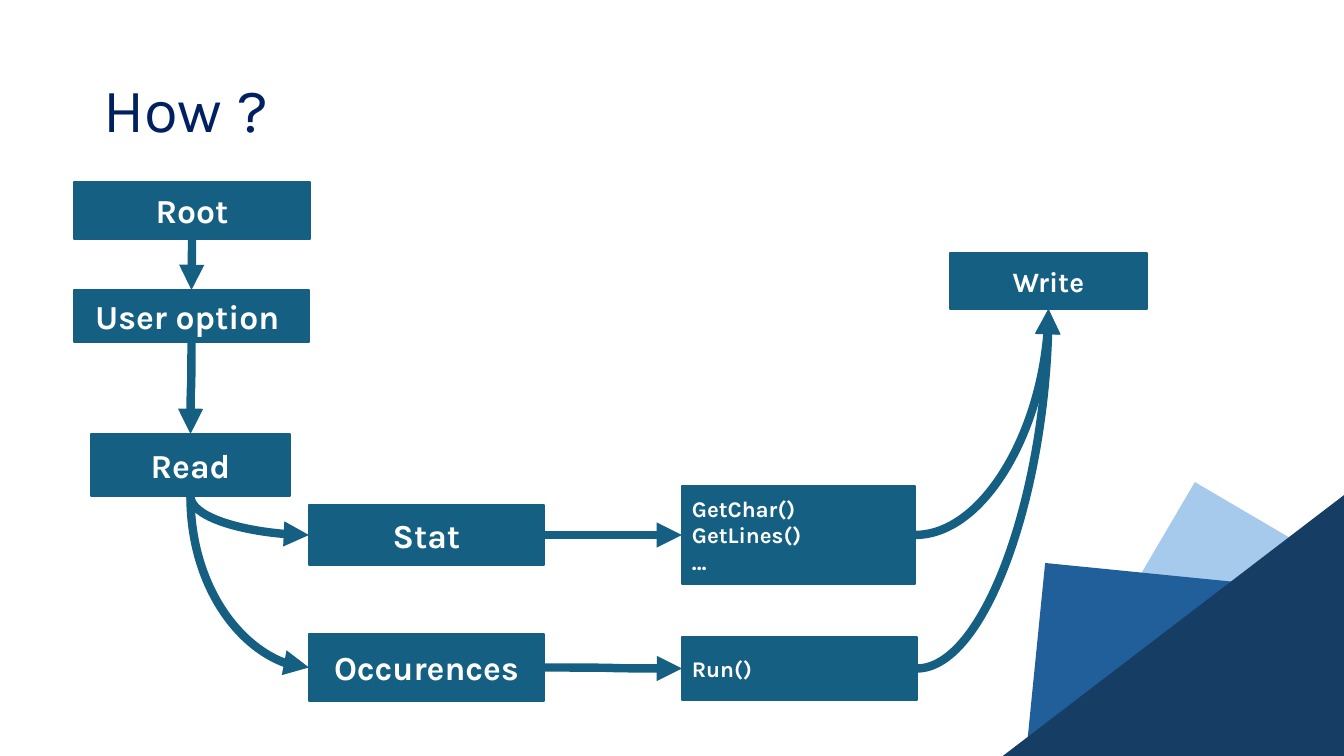
from dataclasses import dataclass

import pptx
import pptx.dml.color
import pptx.enum.shapes
import pptx.enum.text
import pptx.oxml.ns
import pptx.util
from lxml import etree
from pptx.enum.shapes import MSO_CONNECTOR, MSO_SHAPE
from pptx.enum.text import MSO_ANCHOR, MSO_AUTO_SIZE, PP_ALIGN

RGBColor = pptx.dml.color.RGBColor
NAVY = RGBColor(0x00, 0x20, 0x60)
TEAL = RGBColor(0x15, 0x60, 0x82)
WHITE = RGBColor(0xFF, 0xFF, 0xFF)
SKY = RGBColor(0xA6, 0xCA, 0xEC)
BLUE = RGBColor(0x21, 0x5F, 0x9A)
DARK_BLUE = RGBColor(0x16, 0x3E, 0x64)

FONT = "Karla"
EMU_PER_PX = 914400 / 100.8
TOP, LEFT, BOTTOM, RIGHT = range(4)  # connection sites of a rectangle


@dataclass
class Step:
    lines: list[str]
    left: int
    top: int
    width: int
    height: int
    size: int = 24
    align: PP_ALIGN = PP_ALIGN.CENTER


@dataclass
class Arrow:
    source: str
    leaves: int
    target: str
    enters: int


@dataclass
class Panel:
    left: int
    top: int
    rotation: float
    color: RGBColor
    outlined: bool = False


PANEL_WIDTH, PANEL_HEIGHT = 721, 288
PANELS = [
    Panel(1072, 643, 210.4, SKY, outlined=True),
    Panel(1029, 598, 185.7, BLUE),
    Panel(908, 590, 142.6, DARK_BLUE),
]
STEPS = {
    "root": Step(["Root"], 74, 182, 236, 57),
    "option": Step(["User option "], 74, 290, 235, 52),
    "read": Step(["Read"], 91, 434, 199, 62),
    "stat": Step(["Stat"], 309, 505, 235, 60),
    "occurrences": Step(["Occurences"], 309, 634, 235, 67),
    "getters": Step(["GetChar()", "GetLines()", "…"], 682, 486, 233, 98, 16, PP_ALIGN.LEFT),
    "run": Step(["Run()"], 682, 637, 235, 63, 16, PP_ALIGN.LEFT),
    "write": Step(["Write"], 950, 253, 197, 56, 20),
}
ARROWS = [
    Arrow("root", BOTTOM, "option", TOP),
    Arrow("option", BOTTOM, "read", TOP),
    Arrow("read", BOTTOM, "stat", LEFT),
    Arrow("read", BOTTOM, "occurrences", LEFT),
    Arrow("stat", RIGHT, "getters", LEFT),
    Arrow("occurrences", RIGHT, "run", LEFT),
    Arrow("getters", RIGHT, "write", BOTTOM),
    Arrow("run", RIGHT, "write", BOTTOM),
]


def px(length: int) -> pptx.util.Emu:
    return pptx.util.Emu(round(length * EMU_PER_PX))


def add_text(paragraph, text: str, size: int, color: RGBColor, bold: bool) -> None:
    run = paragraph.add_run()
    run.text = text
    run.font.name = FONT
    run.font.size = pptx.util.Pt(size)
    run.font.bold = bold
    run.font.color.rgb = color


def add_rectangle(shapes, left: int, top: int, width: int, height: int, color: RGBColor):
    rectangle = shapes.add_shape(MSO_SHAPE.RECTANGLE, px(left), px(top), px(width), px(height))
    rectangle.shadow.inherit = False
    rectangle.fill.solid()
    rectangle.fill.fore_color.rgb = color
    return rectangle


def add_panel(shapes, panel: Panel) -> None:
    rectangle = add_rectangle(shapes, panel.left, panel.top, PANEL_WIDTH, PANEL_HEIGHT, panel.color)
    rectangle.rotation = panel.rotation
    if panel.outlined:
        rectangle.line.color.rgb = WHITE
        rectangle.line.width = pptx.util.Pt(1.5)
    else:
        rectangle.line.fill.background()


def add_step(shapes, step: Step):
    box = add_rectangle(shapes, step.left, step.top, step.width, step.height, TEAL)
    box.line.color.rgb = TEAL
    box.line.width = pptx.util.Pt(1)
    frame = box.text_frame
    frame.word_wrap = True
    frame.vertical_anchor = MSO_ANCHOR.MIDDLE
    for index, line in enumerate(step.lines):
        paragraph = frame.add_paragraph() if index else frame.paragraphs[0]
        paragraph.alignment = step.align
        add_text(paragraph, line, step.size, WHITE, bold=True)
    return box


def add_arrow(shapes, arrow: Arrow, boxes: dict) -> None:
    curve = shapes.add_connector(MSO_CONNECTOR.CURVE, 0, 0, 0, 0)
    curve.begin_connect(boxes[arrow.source], arrow.leaves)
    curve.end_connect(boxes[arrow.target], arrow.enters)
    curve.line.color.rgb = TEAL
    curve.line.width = pptx.util.Pt(6)

    properties = curve._element.spPr
    qn = pptx.oxml.ns.qn
    etree.SubElement(properties.find(qn("a:ln")), qn("a:tailEnd"), type="triangle")
    etree.SubElement(properties, qn("a:effectLst"))

    # A quarter turn joins a vertical side to a horizontal one
    if (arrow.leaves in (TOP, BOTTOM)) != (arrow.enters in (TOP, BOTTOM)):
        properties.find(qn("a:prstGeom")).set("prst", "curvedConnector2")

    # A curve that leaves downwards is a sideways one turned by 90 degrees
    if arrow.leaves == BOTTOM:
        middle_x = (curve.begin_x + curve.end_x) // 2
        middle_y = (curve.begin_y + curve.end_y) // 2
        half_x = (curve.end_x - curve.begin_x) // 2
        half_y = (curve.end_y - curve.begin_y) // 2
        curve.begin_x, curve.end_x = middle_x - half_y, middle_x + half_y
        curve.begin_y, curve.end_y = middle_y + half_x, middle_y - half_x
        properties.find(qn("a:xfrm")).set("rot", str(90 * 60000))


def add_title(slide, text: str) -> None:
    title = slide.shapes.title
    title.left, title.top, title.width, title.height = px(93), px(40), px(1159), px(146)
    frame = title.text_frame
    frame.auto_size = MSO_AUTO_SIZE.NONE
    frame.vertical_anchor = MSO_ANCHOR.MIDDLE
    paragraph = frame.paragraphs[0]
    paragraph.alignment = PP_ALIGN.LEFT
    paragraph.line_spacing = 0.9
    add_text(paragraph, text, 44, NAVY, bold=False)


def main() -> None:
    presentation = pptx.Presentation()
    presentation.slide_width, presentation.slide_height = px(1344), px(756)
    slide = presentation.slides.add_slide(presentation.slide_layouts[5])

    add_title(slide, "How ?")

    # Corner decoration
    corner = slide.shapes.add_group_shape()
    for panel in PANELS:
        add_panel(corner.shapes, panel)

    # Flow chart
    boxes = {key: add_step(slide.shapes, step) for key, step in STEPS.items()}
    for arrow in ARROWS:
        add_arrow(slide.shapes, arrow, boxes)

    presentation.save("out.pptx")


if __name__ == "__main__":
    main()
